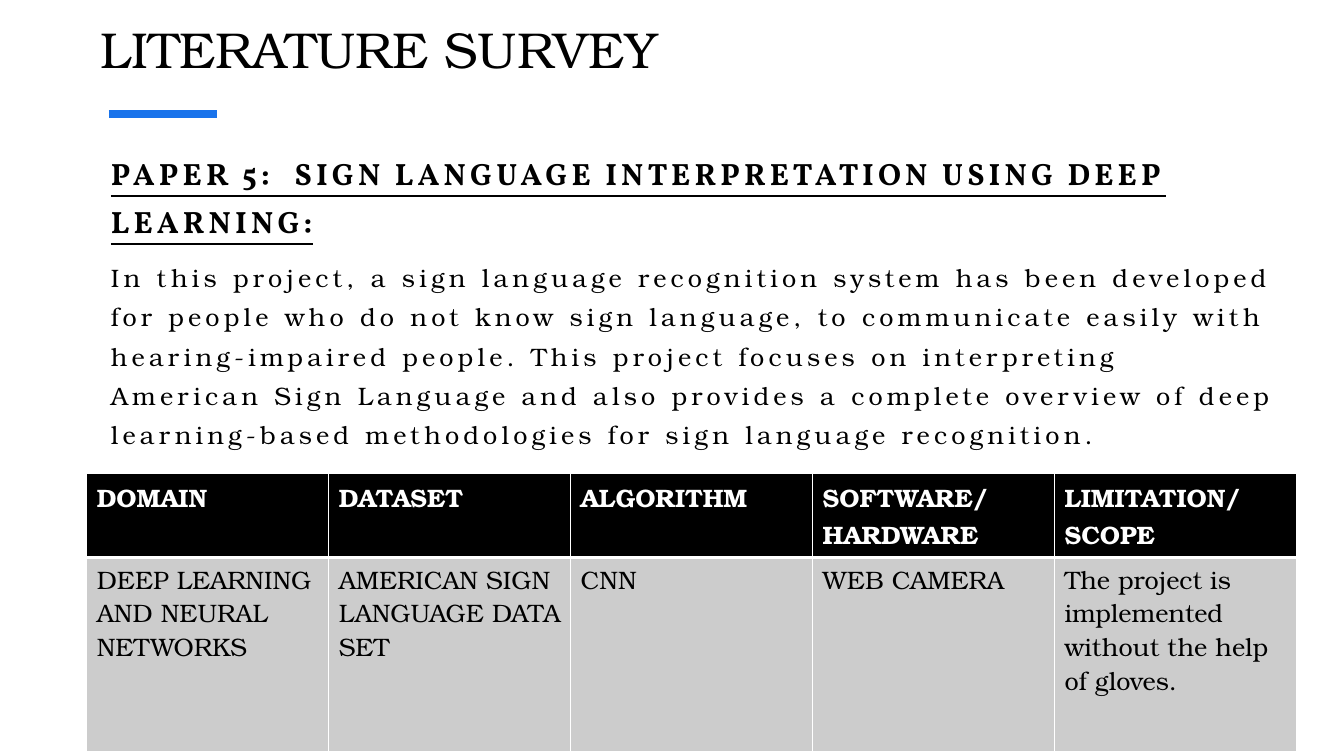
"""Build the literature survey slide for paper 5."""
from dataclasses import dataclass

from lxml import etree
from pptx import Presentation
from pptx.dml.color import RGBColor
from pptx.enum.shapes import MSO_CONNECTOR
from pptx.enum.text import MSO_ANCHOR, MSO_AUTO_SIZE, PP_ALIGN
from pptx.oxml.ns import qn
from pptx.util import Inches, Pt

STRAIGHT = MSO_CONNECTOR.STRAIGHT
TOP = MSO_ANCHOR.TOP
NO_AUTOFIT = MSO_AUTO_SIZE.NONE
LEFT = PP_ALIGN.LEFT


@dataclass(frozen=True)
class Theme:
    """Colours, fonts and type sizes of the slide."""
    black: str = "000000"
    white: str = "FFFFFF"
    accent: str = "1973EB"
    cell_grey: str = "CCCCCC"
    text_font: str = "TeX Gyre Bonum"
    heading_font: str = "Vollkorn"
    title_size: int = 36
    heading_size: int = 22
    text_size: int = 18


@dataclass(frozen=True)
class TextStyle:
    """Character and paragraph format of one kind of text."""
    size: int
    font: str
    color: str = "000000"
    bold: bool = False
    underline: bool = False
    tracking: int = 0
    line_spacing: float = 1.0
    space_before: int = 0


@dataclass(frozen=True)
class Box:
    """Place of an object in inches."""
    left: float
    top: float
    width: float
    height: float


@dataclass(frozen=True)
class RowStyle:
    """Look of one table row."""
    height: float
    fill: str
    bottom_border: int
    text: TextStyle


THEME = Theme()
TITLE = TextStyle(THEME.title_size, THEME.text_font, THEME.black)
HEADING = TextStyle(THEME.heading_size, THEME.heading_font, THEME.black, bold=True,
                    underline=True, tracking=3, line_spacing=1.3)
SUMMARY = TextStyle(THEME.text_size, THEME.text_font, THEME.black, tracking=3,
                    line_spacing=1.3, space_before=10)
HEADER_TEXT = TextStyle(THEME.text_size, THEME.text_font, THEME.white, bold=True)
CELL_TEXT = TextStyle(THEME.text_size, THEME.text_font, THEME.black)
ROW_STYLES = [RowStyle(0.81, THEME.black, 3, HEADER_TEXT),
              RowStyle(1.93, THEME.cell_grey, 1, CELL_TEXT)]

TITLE_BOX = Box(0.9, 0.13, 11.38, 0.56)
BODY_BOX = Box(1, 1.37, 11.75, 3.2)
TABLE_BOX = Box(0.86, 4.7, 12, 2.74)

PARAGRAPHS = [
    ("PAPER 5:  SIGN LANGUAGE INTERPRETATION USING DEEP LEARNING:", HEADING),
    ("In this project, a sign language recognition system has been developed for "
     "people who do not know sign language, to communicate easily with "
     "hearing-impaired people. This project focuses on interpreting American Sign "
     "Language and also provides a complete overview of deep learning-based "
     "methodologies for sign language recognition.", SUMMARY),
]
ROWS = [
    ["DOMAIN", "DATASET", "ALGORITHM", "SOFTWARE/ HARDWARE", "LIMITATION/ SCOPE"],
    ["DEEP LEARNING AND NEURAL NETWORKS", "AMERICAN SIGN LANGUAGE DATA SET", "CNN",
     "WEB CAMERA", "The project is implemented without the help of gloves."],
]


def apply(target, values: dict) -> None:
    """Set each named attribute on the target."""
    for name, value in values.items():
        setattr(target, name, value)


def write_paragraph(paragraph, text: str, style: TextStyle) -> None:
    """Put one styled run into a paragraph."""
    apply(paragraph, {"alignment": LEFT, "line_spacing": style.line_spacing,
                      "space_before": Pt(style.space_before), "space_after": Pt(0)})
    run = paragraph.add_run()
    run.text = text
    apply(run.font, {"name": style.font, "size": Pt(style.size),
                     "bold": style.bold, "underline": style.underline})
    run.font.color.rgb = RGBColor.from_string(style.color)
    if style.tracking:
        run._r.get_or_add_rPr().set("spc", str(style.tracking * 100))


def fill_placeholder(shape, box: Box, paragraphs: list[tuple[str, TextStyle]]) -> None:
    """Move a placeholder and write its paragraphs."""
    apply(shape, {"left": Inches(box.left), "top": Inches(box.top),
                  "width": Inches(box.width), "height": Inches(box.height)})
    frame = shape.text_frame
    apply(frame, {"word_wrap": True, "auto_size": NO_AUTOFIT, "vertical_anchor": TOP})
    for index, (text, style) in enumerate(paragraphs):
        paragraph = frame.add_paragraph() if index else frame.paragraphs[0]
        write_paragraph(paragraph, text, style)


def add_accent_line(slide) -> None:
    """Draw the short thick line under the title."""
    line = slide.shapes.add_connector(STRAIGHT, Inches(1.08), Inches(1.13),
                                      Inches(2.15), Inches(1.13))
    line.line.color.rgb = RGBColor.from_string(THEME.accent)
    line.line.width = Pt(6)
    etree.SubElement(line._element.spPr, qn("a:effectLst"))


def set_borders(cell, bottom_width: int) -> None:
    """Give a cell white borders."""
    properties = cell._tc.get_or_add_tcPr()
    widths = {"a:lnL": 1, "a:lnR": 1, "a:lnT": 1, "a:lnB": bottom_width}
    for tag, width in widths.items():
        border = etree.SubElement(properties, qn(tag), w=str(Pt(width)))
        fill = etree.SubElement(border, qn("a:solidFill"))
        etree.SubElement(fill, qn("a:srgbClr"), val=THEME.white)


def add_survey_table(slide, box: Box) -> None:
    """Draw the table that sums up the paper."""
    table = slide.shapes.add_table(len(ROWS), len(ROWS[0]), Inches(box.left),
                                   Inches(box.top), Inches(box.width),
                                   Inches(box.height)).table
    for row, texts, style in zip(table.rows, ROWS, ROW_STYLES):
        row.height = Inches(style.height)
        for cell, text in zip(row.cells, texts):
            set_borders(cell, style.bottom_border)
            cell.fill.solid()
            cell.fill.fore_color.rgb = RGBColor.from_string(style.fill)
            write_paragraph(cell.text_frame.paragraphs[0], text, style.text)


def main() -> None:
    """Build and save the presentation."""
    presentation = Presentation()
    apply(presentation, {"slide_width": Inches(13.33), "slide_height": Inches(7.5)})
    slide = presentation.slides.add_slide(presentation.slide_layouts[0])
    add_accent_line(slide)
    fill_placeholder(slide.shapes.title, TITLE_BOX, [("LITERATURE SURVEY", TITLE)])
    fill_placeholder(slide.placeholders[1], BODY_BOX, PARAGRAPHS)
    add_survey_table(slide, TABLE_BOX)
    presentation.save("out.pptx")


if __name__ == "__main__":
    main()
